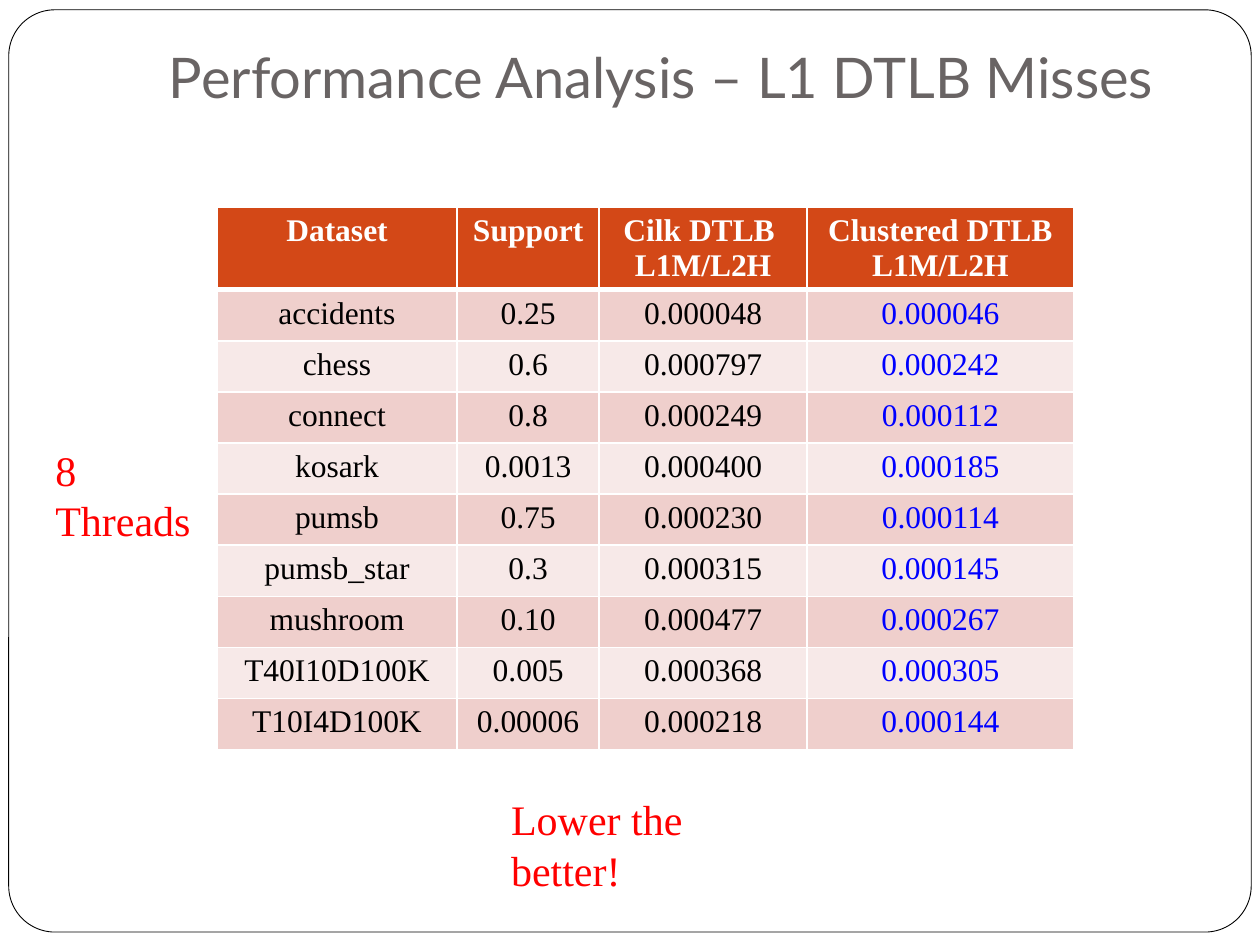
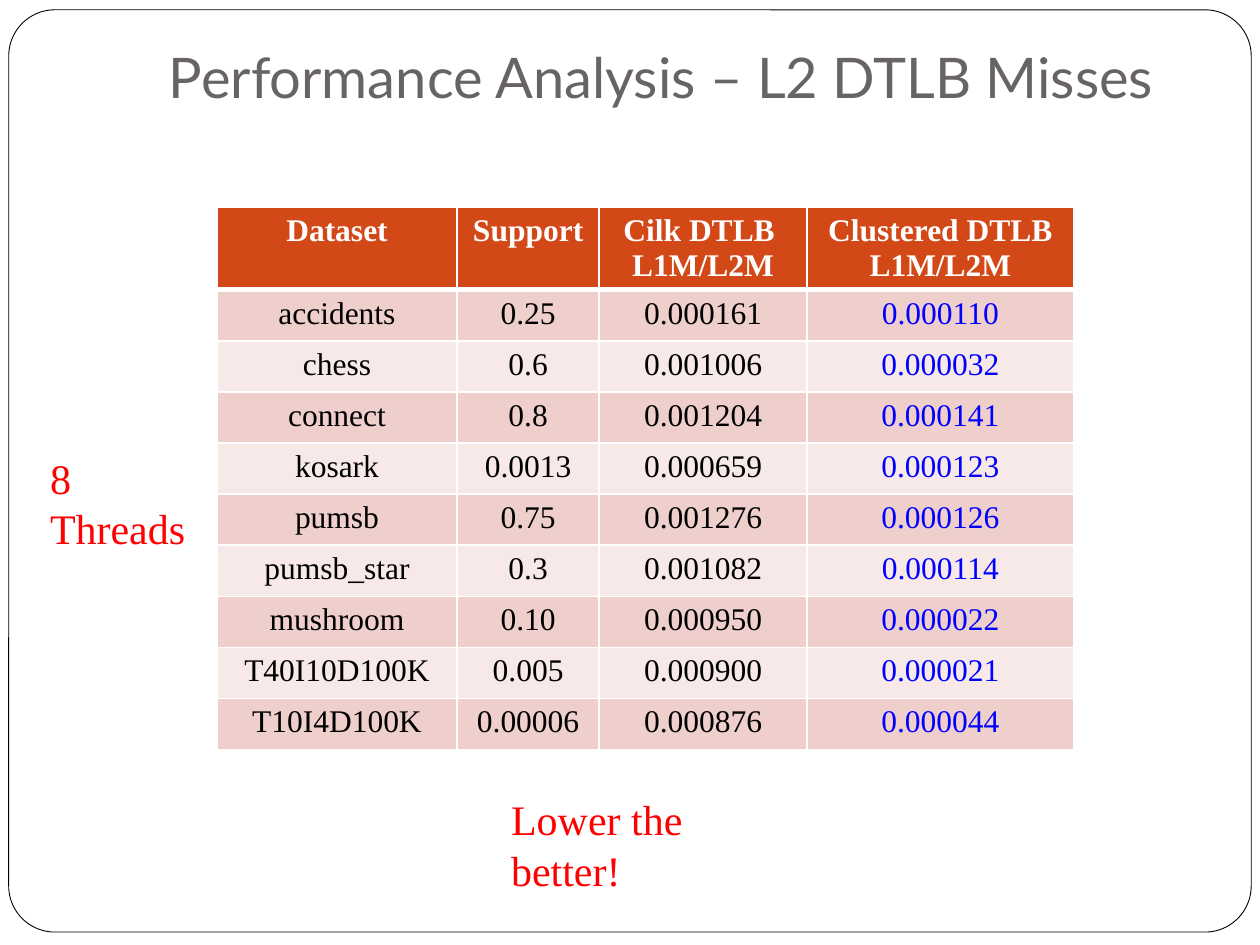
from lxml import etree
from pptx import Presentation
from pptx.dml.color import RGBColor
from pptx.enum.shapes import MSO_SHAPE
from pptx.enum.text import MSO_ANCHOR, MSO_AUTO_SIZE, PP_ALIGN
from pptx.oxml.ns import qn
from pptx.util import Pt

ROUND = MSO_SHAPE.ROUNDED_RECTANGLE
BOTTOM = MSO_ANCHOR.BOTTOM
GROW = MSO_AUTO_SIZE.SHAPE_TO_FIT_TEXT
LEFT, CENTER = PP_ALIGN.LEFT, PP_ALIGN.CENTER

SERIF = "Times New Roman"
WHITE, BLACK, GRAY = "FFFFFF", "000000", "696464"
RED, BLUE, RUST = "FF0000", "0000FF", "D34817"
BANDS = "EFCFCC", "F7E9E8"

WIDTHS = 137.2, 81.2, 118.8, 152.4
HEAD, ROW = 47, 29.2

SETS = [
    ("accidents", "0.25"), ("chess", "0.6"), ("connect", "0.8"),
    ("kosark", "0.0013"), ("pumsb", "0.75"), ("pumsb_star", "0.3"),
    ("mushroom", "0.10"), ("T40I10D100K", "0.005"), ("T10I4D100K", "0.00006"),
]
PAGES = [
    ("L1", "L1M/L2H", (24.5, 250.5),
     ["0.000048", "0.000797", "0.000249", "0.000400", "0.000230",
      "0.000315", "0.000477", "0.000368", "0.000218"],
     ["0.000046", "0.000242", "0.000112", "0.000185", "0.000114",
      "0.000145", "0.000267", "0.000305", "0.000144"]),
    ("L2", "L1M/L2M", (21.5, 255),
     ["0.000161", "0.001006", "0.001204", "0.000659", "0.001276",
      "0.001082", "0.000950", "0.000900", "0.000876"],
     ["0.000110", "0.000032", "0.000141", "0.000123", "0.000126",
      "0.000114", "0.000022", "0.000021", "0.000044"]),
]


def color(code):
    return RGBColor.from_string(code)


class Deck:
    def __init__(self):
        self.prs = Presentation()
        self.prs.slide_width, self.prs.slide_height = Pt(720), Pt(540)
        self.layout = self.prs.slide_layouts[5]
        self.page = None

    def slide(self, title):
        self.page = self.prs.slides.add_slide(self.layout)
        if len(self.prs.slides) == 1:
            self.frame()
        box = self.page.shapes.title
        box.left, box.top, box.width, box.height = Pt(72), Pt(7.2), Pt(612), Pt(62.6)
        text = box.text_frame
        text.text = title
        text.vertical_anchor = BOTTOM
        text.margin_left = text.margin_right = text.margin_bottom = Pt(7.2)
        text.margin_top = Pt(3.6)
        self.style(text, 32, GRAY, CENTER, face="Lato")

    def frame(self):
        box = self.page.shapes.add_shape(ROUND, Pt(5), Pt(5.6), Pt(710), Pt(527))
        box.adjustments[0] = 0.05
        box.shadow.inherit = False
        box.fill.solid()
        box.fill.fore_color.rgb = color(WHITE)
        box.line.color.rgb = color(BLACK)
        box.line.width = Pt(0.5)
        self.layout.shapes.element.insert(2, box.element)

    def style(self, text, size, ink, align, bold=False, face=SERIF):
        for para in text.paragraphs:
            para.alignment = align
            font = para.font
            font.name, font.size, font.bold = face, Pt(size), bold
            font.color.rgb = color(ink)

    def note(self, words, left, top, width):
        box = self.page.shapes.add_textbox(Pt(left), Pt(top), Pt(width), Pt(36))
        text = box.text_frame
        text.word_wrap = True
        text.auto_size = GROW
        text.text = words
        self.style(text, 24, RED, LEFT)

    def edge(self, cell, side, width):
        line = etree.SubElement(cell._tc.get_or_add_tcPr(), qn(f"a:ln{side}"),
                                w=str(Pt(width)))
        fill = etree.SubElement(line, qn("a:solidFill"))
        etree.SubElement(fill, qn("a:srgbClr"), val=WHITE)

    def table(self, rows, left, top):
        high = HEAD + ROW * (len(rows) - 1)
        grid = self.page.shapes.add_table(
            len(rows), len(WIDTHS), Pt(left), Pt(top), Pt(sum(WIDTHS)), Pt(high)).table
        grid.horz_banding = False
        for col, width in zip(grid.columns, WIDTHS):
            col.width = Pt(width)
        for r, row in enumerate(rows):
            grid.rows[r].height = Pt(ROW if r else HEAD)
            for c, words in enumerate(row):
                self.cell(grid.cell(r, c), words, r, c)

    def cell(self, cell, words, r, c):
        cell.text = words
        for side in "LRTB":
            thick = (r == 0 and side == "B") or (r == 1 and side == "T")
            self.edge(cell, side, 3 if thick else 1)
        cell.fill.solid()
        cell.fill.fore_color.rgb = color(BANDS[(r - 1) % 2] if r else RUST)
        ink = WHITE if r == 0 else BLUE if c == 3 else BLACK
        self.style(cell.text_frame, 18, ink, CENTER, bold=r == 0)


def main():
    deck = Deck()
    for level, ratio, spot, cilk, group in PAGES:
        deck.slide(f"Performance Analysis – {level} DTLB Misses")
        head = ("Dataset", "Support", f"Cilk DTLB \n{ratio}", f"Clustered DTLB\n{ratio}")
        body = [(*pair, a, b) for pair, a, b in zip(SETS, cilk, group)]
        deck.table([head, *body], 124, 118.5)
        deck.note("8 Threads", *spot, 98)
        deck.note("Lower the better!", 285, 450, 169)
    deck.prs.save("out.pptx")


if __name__ == "__main__":
    main()
